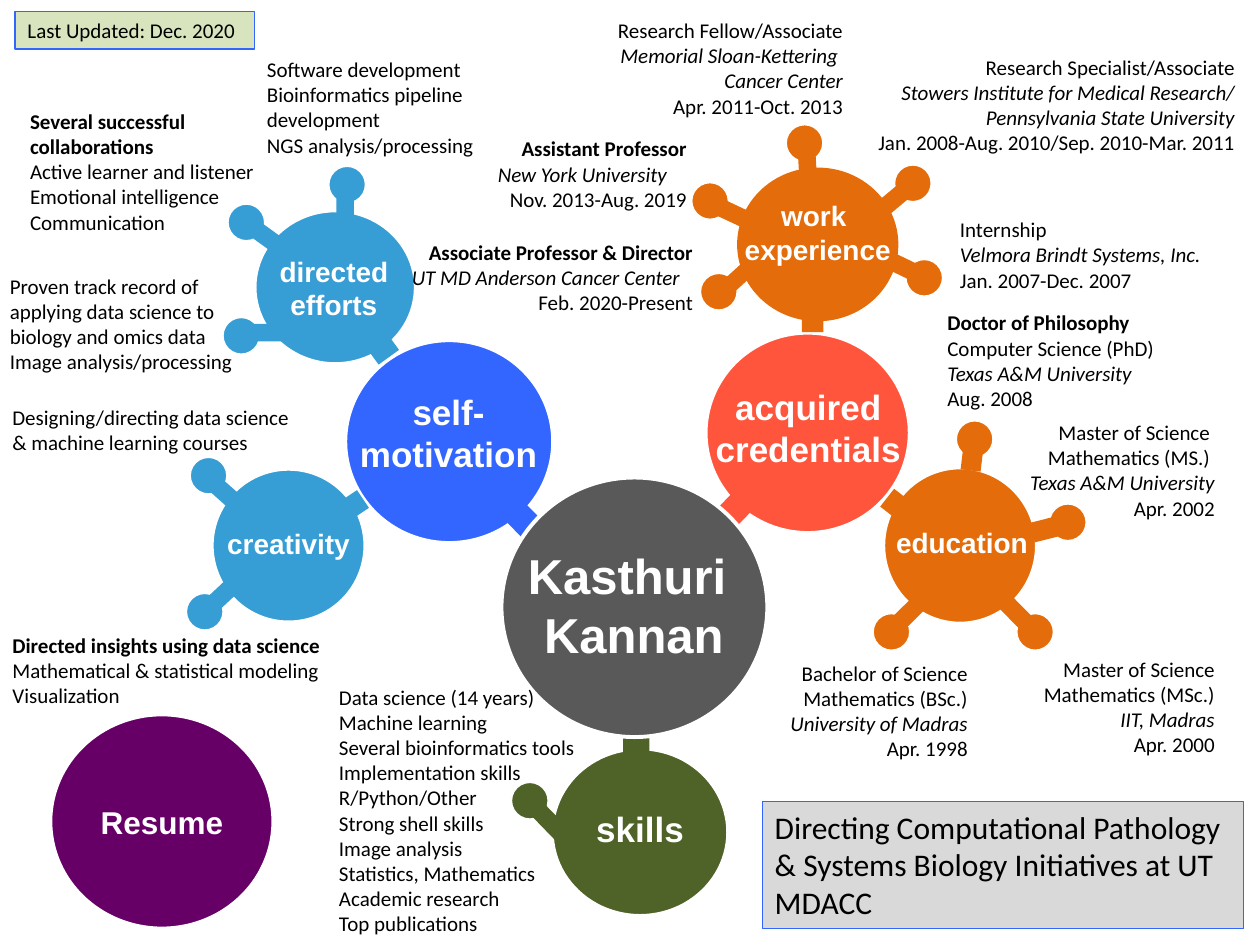
"""Build a one-slide mind map of a career profile."""
from dataclasses import dataclass

from pptx import Presentation
from pptx import util as u
from pptx.dml.color import RGBColor
from pptx.enum import shapes, text

COLUMNS, ROWS = 100, 75
KNOB = 2.9
OVAL, RECT = shapes.MSO_SHAPE.OVAL, shapes.MSO_SHAPE.RECTANGLE
LEFT, CENTER, RIGHT = text.PP_ALIGN.LEFT, text.PP_ALIGN.CENTER, text.PP_ALIGN.RIGHT


@dataclass(frozen=True)
class Theme:
    """Colours, fonts and type sizes of the slide."""
    sky: str = "379DD5"
    blue: str = "3366FF"
    orange: str = "E46C0A"
    coral: str = "FF553D"
    olive: str = "4F6228"
    gray: str = "595959"
    purple: str = "660066"
    silver: str = "D9D9D9"
    sage: str = "D7E4BD"
    white: str = "FFFFFF"
    black: str = "000000"
    label_font: str = "Arial"
    note_font: str = "Calibri"
    note: int = 12
    branch: int = 16
    banner: int = 18
    trunk: int = 20
    name: int = 28
    thin: float = 0.75
    thick: float = 2.25


T = Theme()

HUBS = [
    (43.8, 59.4, 14, 13.3, T.olive, T.thick),
    (16.8, 37.2, 12.2, 12.2, T.sky, T.thick),
    (20.2, 16.7, 12.8, 12.2, T.sky, T.thick),
    (27.4, 27, 16.5, 16.1, T.blue, T.thick),
    (70.1, 37.1, 12.2, 12.4, T.orange, T.thick),
    (56, 26.4, 16.2, 15.9, T.coral, T.thick),
    (58.5, 13.3, 12.8, 12.2, T.orange, 0),
]
JOINTS = [
    (48.5, 57.1, 4, 2.1, 270, T.olive),
    (28.4, 26.1, 3.1, 2, 54.1, T.sky),
    (25.7, 39.7, 3.4, 1.7, 326.1, T.sky),
    (39.8, 40.5, 4, 2.1, 225.5, T.blue),
    (63.8, 24.8, 1.4, 1.7, 270, T.orange),
    (56.4, 39.3, 4, 2.1, 314.6, T.coral),
    (70.1, 39.5, 2.9, 1.8, 38.1, T.orange),
]
SPOKES = {
    T.orange: [
        ((54.9, 14.5), (56.6, 16.3, 3.4, 1.4), 205.1),
        ((62.4, 9.9), (62.4, 12.7, 3.4, 1.4), 266.8),
        ((71, 13.1), (68.8, 15.5, 3.4, 1.4), 320.1),
        ((71.9, 20.6), (69.6, 20.3, 3.4, 1.4), 205.7),
        ((55.6, 21.7), (56.5, 21.6, 3.7, 1.3), 317.7),
        ((69.3, 48.7), (71.1, 48, 2, 1.4), 315.1),
        ((75.9, 33.4), (76.2, 35.6, 1.9, 1.6), 276.8),
        ((83.3, 40), (81.9, 41.2, 2.2, 1.6), 165.8),
        ((80.7, 48.7), (79.5, 48, 2.4, 1.4), 225.5),
    ],
    T.sky: [
        ((18.1, 16.2), (19.7, 18.3, 3.4, 1.4), 216),
        ((17.7, 25.2), (19.5, 25.7, 3.4, 1.4), 180),
        ((26.1, 13.2), (25.7, 15.7, 3.4, 1.4), 270),
        ((15.1, 36.3), (16, 38.3, 3.4, 1.4), 221.7),
        ((14.8, 47.1), (16.2, 46.3, 3.4, 1.4), 136.9),
    ],
    T.olive: [((40.6, 62.1), (41.9, 64.5, 3.4, 1.4), 225.9)],
}
LABELS = [
    (69.5, 41.2, 13.7, 3.7, T.branch, ["education"]),
    (55.6, 30.1, 17.1, 7.7, T.trunk, ["acquired credentials"]),
    (27.2, 30.5, 16.8, 7.7, T.trunk, ["self-motivation"]),
    (16.2, 41.3, 13.4, 3.7, T.branch, ["creativity"]),
    (43.8, 63.6, 14, 4.4, T.trunk, ["skills"]),
    (57.2, 15.3, 15.4, 6.4, T.branch, ["work ", "experience"]),
    (20.1, 19.7, 12.8, 6.4, T.branch, ["directed", "efforts"]),
]
NOTES = [
    (75.2, 16.7, 23.3, 7.1, LEFT,
     ["Internship", "_Velmora Brindt Systems, Inc.", "Jan. 2007-Dec. 2007"]),
    (68.5, 3.8, 30.5, 9.1, RIGHT,
     ["Research Specialist/Associate", "_Stowers Institute for Medical Research/",
      "_Pennsylvania State University", "Jan. 2008-Aug. 2010/Sep. 2010-Mar. 2011"]),
    (46.6, 0.9, 21.3, 9.1, RIGHT,
     ["Research Fellow/Associate", "_Memorial Sloan-Kettering ", "_Cancer Center",
      "Apr. 2011-Oct. 2013"]),
    (38.5, 10.3, 17, 7.1, RIGHT,
     ["*Assistant Professor", "_New York University \t", "Nov. 2013-Aug. 2019"]),
    (31.7, 18.5, 24.3, 7.1, RIGHT,
     ["*Associate Professor & Director",
      "_UT MD Anderson Cancer Center\t|Feb. 2020-Present"]),
    (60.1, 51.9, 17.7, 9.1, RIGHT,
     ["Bachelor of Science Mathematics (BSc.)", "_University of Madras", "Apr. 1998"]),
    (78.9, 51.6, 18.5, 9.1, RIGHT,
     ["Master of Science Mathematics (MSc.)", "_IIT, Madras", "Apr. 2000"]),
    (79.2, 32.8, 18.2, 9.1, RIGHT,
     ["Master of Science ", "Mathematics (MS.) ", "_Texas A&M University", "Apr. 2002"]),
    (74.2, 24.1, 22.2, 9.1, LEFT,
     ["*Doctor of Philosophy", "Computer Science (PhD)", "_Texas A&M University",
      "Aug. 2008"]),
    (1.4, 8.1, 20, 11.1, LEFT,
     ["*Several successful collaborations", "Active learner and listener",
      "Emotional intelligence", "Communication"]),
    (-0.2, 21.2, 21.9, 11.1, LEFT,
     ["Proven track record of applying data science to biology and omics data",
      "Image analysis/processing"]),
    (0, 31.6, 24.4, 5, LEFT,
     ["Designing/directing data science & machine learning courses"]),
    (20.2, 4, 19.9, 9.1, LEFT,
     ["Software development", "Bioinformatics pipeline development",
      "NGS analysis/processing"]),
    (0, 49.7, 27.1, 7.1, LEFT,
     ["*Directed insights using data science", "Mathematical & statistical modeling",
      "Visualization"]),
]
SKILLS = ["Data science (14 years)", "Machine learning", "Several bioinformatics tools",
          "Implementation skills", "R/Python/Other", "Strong shell skills",
          "Image analysis", "Statistics, Mathematics", "Academic research",
          "Top publications"]


def cells(deck, *area):
    """Turn columns and rows into slide lengths."""
    units = (deck.slide_width / COLUMNS, deck.slide_height / ROWS) * 2
    return [u.Emu(round(count * unit)) for count, unit in zip(area, units)]


def write(shape, lines, size, color=T.black, font=T.note_font, align=LEFT, bold=False,
          anchor=text.MSO_ANCHOR.TOP):
    """Write lines run by run; * marks bold, _ italic and | a new run."""
    frame = shape.text_frame
    frame.word_wrap = True
    frame.auto_size = text.MSO_AUTO_SIZE.NONE
    frame.vertical_anchor = anchor
    for index, line in enumerate(lines):
        para = frame.add_paragraph() if index else frame.paragraphs[0]
        para.alignment = align
        para.space_before = u.Pt(0)
        for piece in line.split("|"):
            span = para.add_run()
            span.text = piece.lstrip("*_")
            span.font.name, span.font.size = font, u.Pt(size)
            span.font.bold = bold or piece.startswith("*")
            span.font.italic = piece.startswith("_")
            span.font.color.rgb = RGBColor.from_string(color)


def add_form(deck, page, kind, area, fill, width=0, line=T.white, angle=0):
    """Add a filled preset shape, outlined when a width is given."""
    form = page.shapes.add_shape(kind, *cells(deck, *area))
    form.shadow.inherit = False
    form.rotation = angle
    form.fill.solid()
    form.fill.fore_color.rgb = RGBColor.from_string(fill)
    if width:
        form.line.color.rgb = RGBColor.from_string(line)
        form.line.width = u.Pt(width)
    else:
        form.line.fill.background()
    return form


def add_text(deck, page, area, lines, size, **style):
    """Add a text box."""
    write(page.shapes.add_textbox(*cells(deck, *area)), lines, size, **style)


def fill_placeholder(deck, holder, area, lines, size, **style):
    """Move a placeholder to the front, clear its bullets and fill it."""
    holder.left, holder.top, holder.width, holder.height = cells(deck, *area)
    write(holder, lines, size, **style)
    for para in holder.text_frame.paragraphs:
        props = para._p.get_or_add_pPr()
        props.set("marL", "0")
        props.set("indent", "0")
        props.append(props.makeelement(
            "{http://schemas.openxmlformats.org/drawingml/2006/main}buNone", {}))
    holder.element.getparent().append(holder.element)


def main():
    """Build and save the slide."""
    deck = Presentation()
    deck.slide_width, deck.slide_height = u.Inches(10), u.Inches(7.5)
    page = deck.slides.add_slide(deck.slide_layouts[1])
    title, skills = page.placeholders
    label = dict(color=T.white, font=T.label_font, align=CENTER, bold=True)

    for *area, fill, width in HUBS:
        add_form(deck, page, OVAL, area, fill, width)
    for *area, angle, fill in JOINTS:
        add_form(deck, page, RECT, area, fill, angle=angle)
    add_form(deck, page, OVAL, (39.8, 37.9, 21.1, 20.6), T.gray, T.thick)
    for fill, spokes in SPOKES.items():
        for corner, stalk, angle in spokes:
            add_form(deck, page, OVAL, (*corner, KNOB, KNOB), fill, T.thin)
            add_form(deck, page, RECT, stalk, fill, angle=angle)
    for *area, size, lines in LABELS:
        add_text(deck, page, area, lines, size, **label)
    for *area, align, lines in NOTES:
        add_text(deck, page, area, lines, T.note, align=align)
    fill_placeholder(deck, title, (39.4, 42.8, 21.8, 10.4), ["Kasthuri ", "Kannan"],
                     T.name, **label)
    fill_placeholder(deck, skills, (25.9, 53.8, 20.8, 21.2), SKILLS, T.note)

    banner = add_form(deck, page, RECT, (60.5, 63.6, 38.2, 10.1), T.silver, T.thin, T.blue)
    write(banner, ["Directing Computational Pathology & Systems Biology Initiatives "
                   "at UT MDACC"], T.banner)
    resume = add_form(deck, page, OVAL, (4, 56.7, 17.7, 17), T.purple, T.thick)
    write(resume, ["Resume"], T.banner, anchor=text.MSO_ANCHOR.MIDDLE, **label)
    stamp = add_form(deck, page, RECT, (1.2, 0.9, 19, 3), T.sage, T.thin, T.blue)
    write(stamp, ["Last Updated: Dec. 2020"], T.note)
    deck.save("out.pptx")


main()
